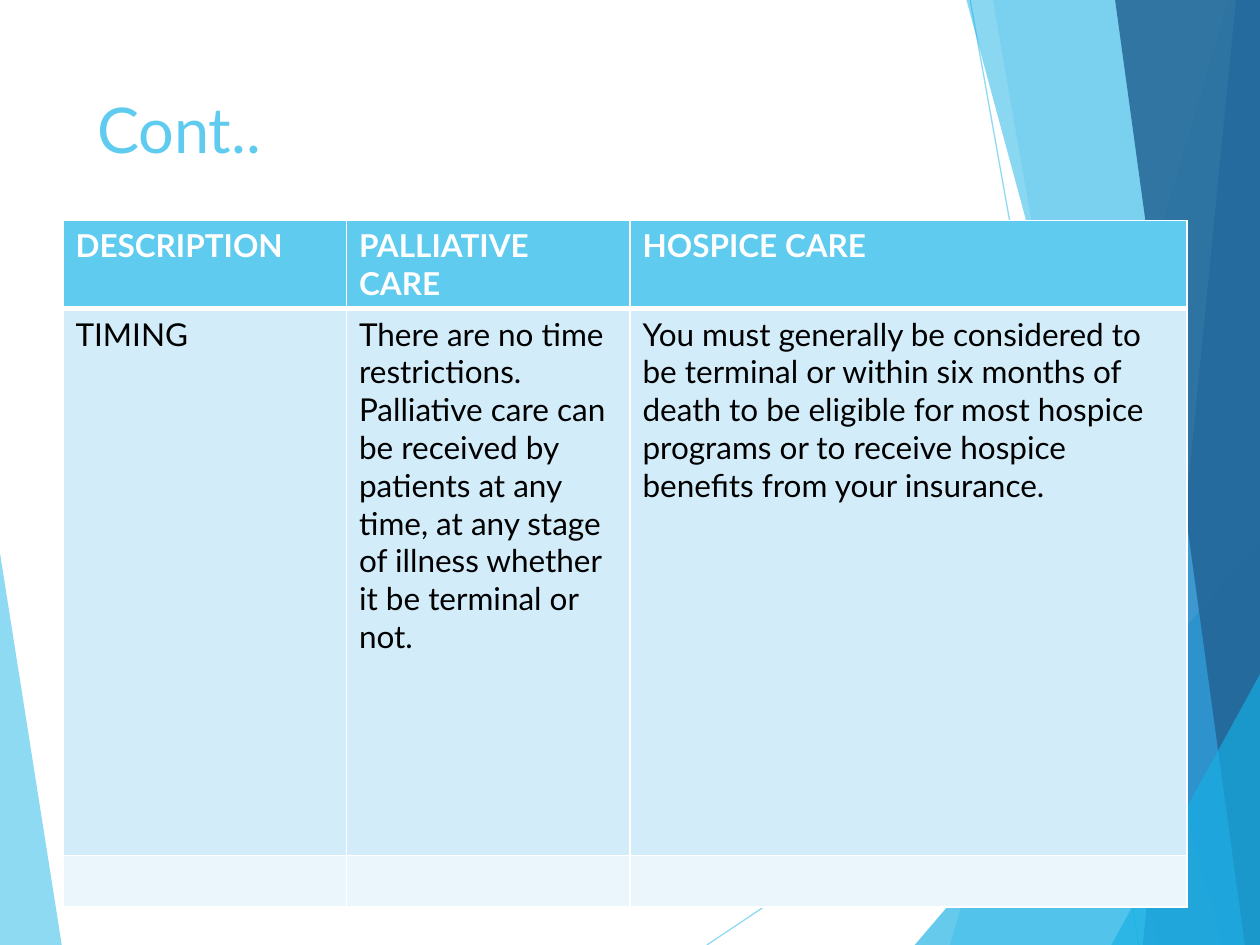
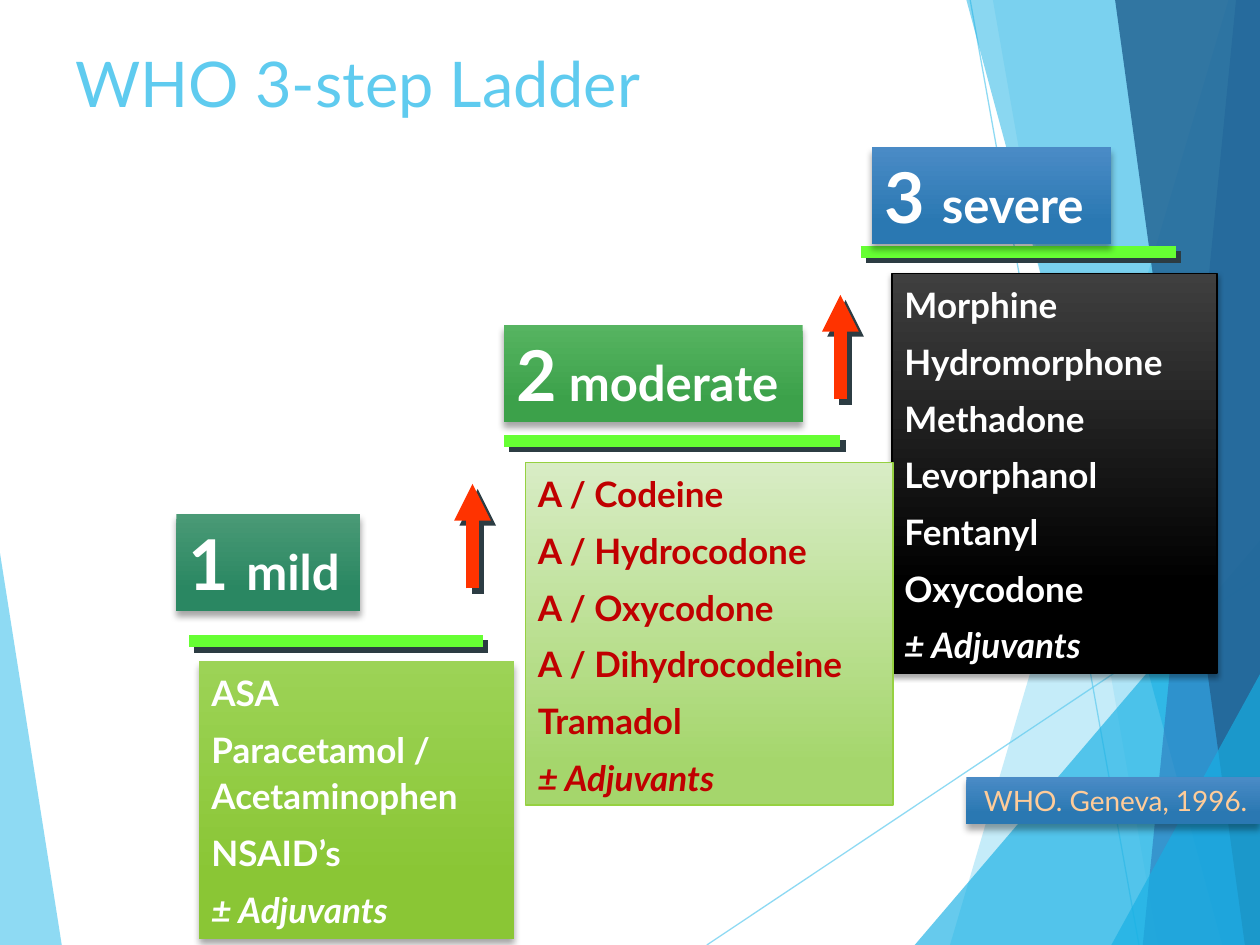
from lxml.etree import SubElement
from pptx import Presentation
from pptx.dml.color import RGBColor
from pptx.enum.shapes import MSO_CONNECTOR as LINE, MSO_SHAPE as SHAPE
from pptx.enum.text import MSO_ANCHOR as ANCHOR, MSO_AUTO_SIZE as FIT, PP_ALIGN as ALIGN
from pptx.oxml.ns import qn
from pptx.util import Inches, Pt

FONT = "Lato"
SKY, CYAN, BLUE, NAVY = "5FCBEF", "17B0E4", "2E83C3", "226292"
WHITE, BLACK, RED, PEACH = "FFFFFF", "000000", "C00000", "FFCC99"
STEP_GREEN, ARROW_RED = "66FF33", "FF3300"
BLUE_FADE = ("4A8BC6", "2A78B2", 78)

# Shadows: colour, opacity %, blur pt, distance pt, direction degrees
HARD_SHADOW = ("2C3C43", 100, 0, 4.2, 45)
SOFT_SHADOW = ("000000", 35, 4, 3, 90)
LIST_SHADOW = ("000000", 35, 3, 2, 90)

# Backdrop facets: colour, opacity %, corner points
FACETS = [
    (SKY, 70, [(0, 4.39), (0.49, 7.5), (0, 7.5)]),
    (SKY, 36, [(9.75, 0), (7.54, 7.5), (10, 7.5), (10, 0)]),
    (SKY, 20, [(7.88, 0), (9.19, 7.5), (10, 7.5), (10, 0)]),
    (CYAN, 66, [(7.26, 7.5), (10, 4.29), (10, 7.5)]),
    (CYAN, 50, [(7.67, 0), (9.7, 7.5), (10, 7.5), (10, 0)]),
    (BLUE, 70, [(9.81, 0), (9.07, 7.5), (10, 7.5), (10, 0)]),
    (NAVY, 82, [(8.85, 0), (9.88, 7.5), (10, 7.5), (10, 0)]),
    (CYAN, 66, [(8.82, 7.5), (10, 5.35), (10, 7.5)]),
]
RAYS = [((5.61, 7.5), (10, 4.57)), ((7.7, 0), (9.04, 7.5))]

CARE_ROWS = [
    ["DESCRIPTION", "PALLIATIVE CARE", "HOSPICE CARE"],
    ["TIMING",
     "There are no time restrictions. Palliative care can be received by patients "
     "at any time, at any stage of illness whether it be terminal or not.",
     "You must generally be considered to be terminal or within six months of death "
     "to be eligible for most hospice programs or to receive hospice benefits from "
     "your insurance."],
    ["", "", ""],
]
CARE_WIDTHS = [2.25, 2.25, 4.42]
CARE_HEIGHTS = [0.41, 4.34, 0.41]
CARE_FILLS = [SKY, "D2ECF9", "EAF6FC"]

# Ladder steps: number and severity, label box, label fade, tread
STEPS = [
    ("1 ", "mild", (1.4, 4.08, 1.46, 0.77), ("4A9A76", "2A8762", 78), ((1.5, 5.09), (3.83, 5.09))),
    ("2", " moderate", (4, 2.58, 2.37, 0.77), ("56B461", "3CA14A", 78), ((4, 3.5), (6.67, 3.5))),
    ("3 ", "severe", (6.92, 1.17, 1.9, 0.77), BLUE_FADE, ((6.83, 2), (9.33, 2))),
]
CLIMBS = [((3.75, 4.67), (3.75, 3.84)), ((6.67, 3.17), (6.67, 2.34))]
# Drug lists: box, fade, outline, shadow, text colour, drugs
DRUG_LISTS = [
    ((7.08, 2.17, 2.58, 3.17), ("3F3F3F", BLACK, 78), BLACK, LIST_SHADOW, WHITE,
     ["Morphine", "Hydromorphone", "Methadone", "Levorphanol", "Fentanyl", "Oxycodone"]),
    ((4.17, 3.67, 2.92, 2.72), ("D8ECC5", "A5D66C", 88), "96D141", None, RED,
     ["A / Codeine", "A / Hydrocodone", "A / Oxycodone", "A / Dihydrocodeine", "Tramadol"]),
    ((1.58, 5.25, 2.5, 2.2), ("9CD356", "8AC635", 78), None, SOFT_SHADOW, WHITE,
     ["ASA", "Paracetamol / Acetaminophen", "NSAID’s"]),
]


def rgb(value):
    return RGBColor.from_string(value)


def inches(values):
    return [Inches(value) for value in values]


def set_opacity(shape, percent):
    for color in shape.element.iter(qn("a:srgbClr")):
        SubElement(color, qn("a:alpha"), val=str(percent * 1000))


def set_shadow(shape, shadow=None):
    effects = SubElement(shape.element.spPr, qn("a:effectLst"))
    if shadow:
        color, opacity, blur, distance, direction = shadow
        outer = SubElement(effects, qn("a:outerShdw"), blurRad=str(Pt(blur)),
                           dist=str(Pt(distance)), dir=str(direction * 60000),
                           algn="tl", rotWithShape="0")
        tint = SubElement(outer, qn("a:srgbClr"), val=color)
        SubElement(tint, qn("a:alpha"), val=str(opacity * 1000))


def write_text(frame, paragraphs, size=18, color=BLACK, bold=False, align=ALIGN.LEFT,
               spacing=None, after=None):
    """Each paragraph is a list of (text, font overrides) runs."""
    for index, runs in enumerate(paragraphs):
        paragraph = frame.paragraphs[0] if index == 0 else frame.add_paragraph()
        paragraph.alignment = align
        if spacing:
            paragraph.line_spacing = spacing
        if after is not None:
            paragraph.space_after = Pt(after)
        for text, changes in runs:
            run = paragraph.add_run()
            run.text = text
            run.font.name = FONT
            run.font.size = Pt(changes.get("size", size))
            run.font.bold = bold
            run.font.italic = changes.get("italic", False)
            run.font.color.rgb = rgb(color)


def add_line(slide, start, end, color, width, opacity=100, shadow=None, arrow=False):
    line = slide.shapes.add_connector(LINE.STRAIGHT, *inches(start + end))
    line.line.color.rgb = rgb(color)
    line.line.width = Pt(width)
    if opacity < 100:
        set_opacity(line, opacity)
    if arrow:
        SubElement(line.line._get_or_add_ln(), qn("a:tailEnd"), type="triangle")
    set_shadow(line, shadow)


def add_facet(slide, color, opacity, corners):
    points = [tuple(inches(corner)) for corner in corners]
    builder = slide.shapes.build_freeform(*points[0])
    builder.add_line_segments(points[1:], close=True)
    facet = builder.convert_to_shape()
    facet.fill.solid()
    facet.fill.fore_color.rgb = rgb(color)
    facet.line.fill.background()
    set_opacity(facet, opacity)
    set_shadow(facet)


def add_backdrop(slide):
    """Draw the facets and rays, then hand them to the layout for every slide."""
    layout = slide.slide_layout
    for footer in list(layout.placeholders)[1:]:
        layout.shapes.element.remove(footer.element)
    add_facet(slide, *FACETS[0])
    for start, end in RAYS:
        add_line(slide, start, end, SKY, 0.75, opacity=70)
    for facet in FACETS[1:]:
        add_facet(slide, *facet)
    for shape in list(slide.shapes):
        if not shape.is_placeholder:
            layout.shapes.element.append(shape.element)


def add_title(slide, text, box):
    title = slide.shapes.title
    title.left, title.top, title.width, title.height = inches(box)
    frame = title.text_frame
    frame.word_wrap = True
    frame.auto_size = FIT.NONE
    frame.vertical_anchor = ANCHOR.TOP
    write_text(frame, [[(text, {})]], size=36, color=SKY)


def add_panel(slide, box, fade, paragraphs, outline=None, shadow=SOFT_SHADOW, wrap=False, **style):
    panel = slide.shapes.add_shape(SHAPE.RECTANGLE, *inches(box))
    top_color, bottom_color, end = fade
    panel.fill.gradient()
    panel.fill.gradient_angle = 270
    first, last = panel.fill.gradient_stops
    first.color.rgb, first.position = rgb(top_color), 0
    last.color.rgb, last.position = rgb(bottom_color), end / 100
    if outline:
        panel.line.color.rgb = rgb(outline)
        panel.line.width = Pt(1)
    else:
        panel.line.fill.background()
    set_shadow(panel, shadow)
    frame = panel.text_frame
    frame.word_wrap = wrap
    frame.auto_size = FIT.SHAPE_TO_FIT_TEXT
    frame.vertical_anchor = ANCHOR.TOP
    write_text(frame, paragraphs, **style)


def set_borders(cell, bottom_width):
    properties = cell._tc.get_or_add_tcPr()
    for side, width in (("L", 1), ("R", 1), ("T", 1), ("B", bottom_width)):
        border = SubElement(properties, qn(f"a:ln{side}"), w=str(Pt(width)))
        SubElement(SubElement(border, qn("a:solidFill")), qn("a:srgbClr"), val=WHITE)


def add_care_table(slide):
    box = inches((0.5, 1.75, sum(CARE_WIDTHS), sum(CARE_HEIGHTS)))
    table = slide.shapes.add_table(len(CARE_ROWS), len(CARE_WIDTHS), *box).table
    for column, width in zip(table.columns, CARE_WIDTHS):
        column.width = Inches(width)
    for r, texts in enumerate(CARE_ROWS):
        header = r == 0
        table.rows[r].height = Inches(CARE_HEIGHTS[r])
        for c, text in enumerate(texts):
            cell = table.cell(r, c)
            set_borders(cell, 3 if header else 1)
            cell.fill.solid()
            cell.fill.fore_color.rgb = rgb(CARE_FILLS[r])
            if text:
                write_text(cell.text_frame, [[(text, {})]],
                           color=WHITE if header else BLACK, bold=header)


def add_ladder(slide):
    # Treads and the arrows between them
    for *_, (start, end) in STEPS:
        add_line(slide, start, end, STEP_GREEN, 7, shadow=HARD_SHADOW)
    for start, end in CLIMBS:
        add_line(slide, start, end, ARROW_RED, 7, shadow=HARD_SHADOW, arrow=True)
    # Step labels
    for number, severity, box, fade, _ in STEPS:
        add_panel(slide, box, fade, [[(number, {"size": 40}), (severity, {})]],
                  size=28, color=WHITE, bold=True)
    # Drugs of each step
    for box, fade, outline, shadow, color, drugs in DRUG_LISTS:
        lines = [[(drug, {})] for drug in drugs] + [[("± Adjuvants", {"italic": True})]]
        add_panel(slide, box, fade, lines, outline, shadow, wrap=True,
                  size=20, color=color, bold=True, spacing=1.1, after=6)


def main():
    deck = Presentation()
    deck.slide_width, deck.slide_height = Inches(10), Inches(7.5)
    title_only = deck.slide_layouts[5]

    # Palliative and hospice care compared
    care = deck.slides.add_slide(title_only)
    add_backdrop(care)
    add_title(care, "Cont..", (0.67, 0.67, 6.94, 1.44))
    add_care_table(care)

    # Pain ladder
    ladder = deck.slides.add_slide(title_only)
    add_title(ladder, "WHO 3-step Ladder", (0.5, 0.3, 9, 0.87))
    add_ladder(ladder)
    add_panel(ladder, (7.67, 6.17, 2.33, 0.37), BLUE_FADE, [[("WHO. Geneva, 1996.", {})]],
              size=16, color=PEACH, align=ALIGN.RIGHT)

    deck.save("out.pptx")


if __name__ == "__main__":
    main()
